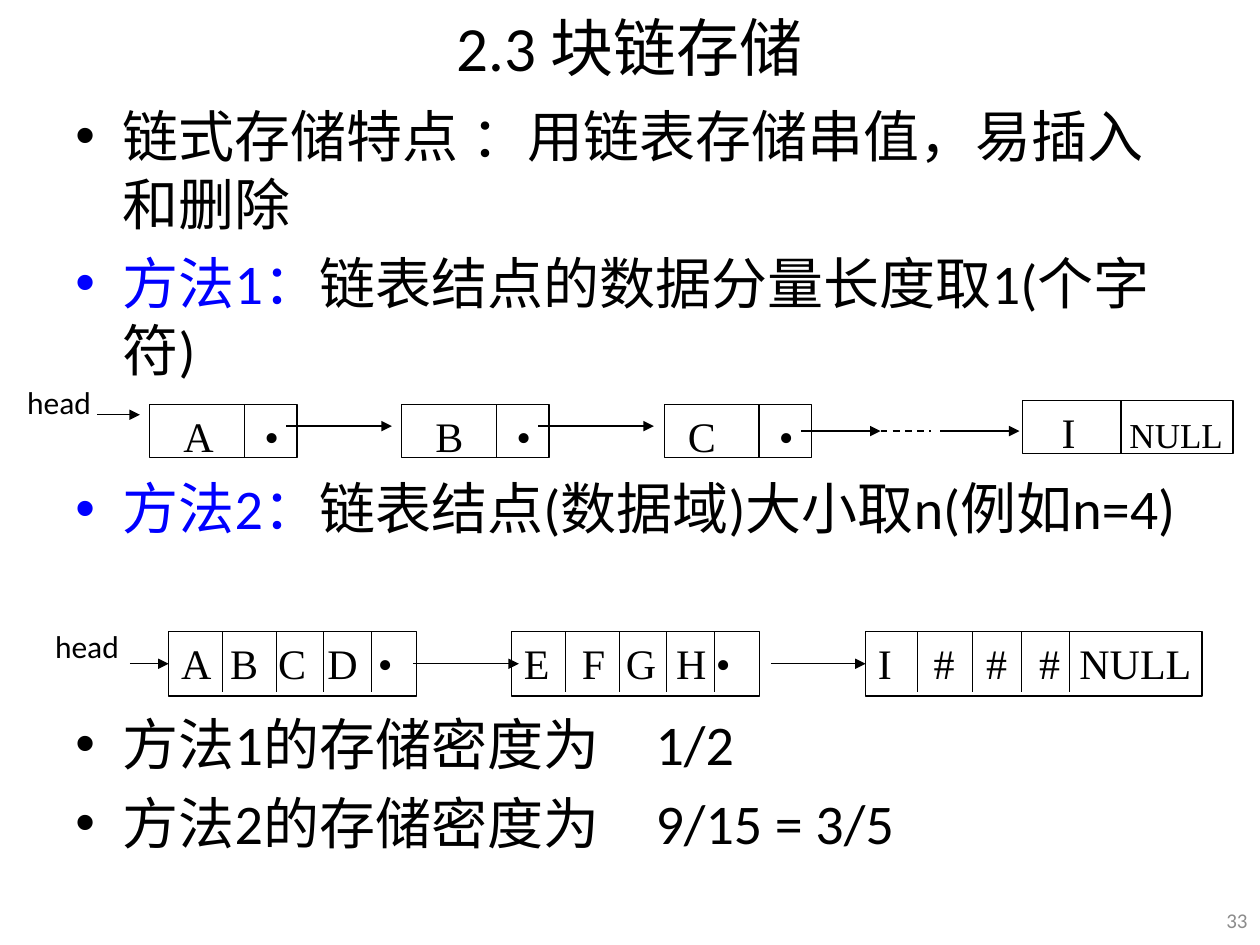
from dataclasses import dataclass
from typing import Optional

import pptx
import pptx.dml.color
import pptx.enum.dml
import pptx.enum.shapes
import pptx.enum.text
import pptx.oxml.ns
import pptx.util
from lxml import etree

Cm, Pt = pptx.util.Cm, pptx.util.Pt
Align = pptx.enum.text.PP_ALIGN
Anchor = pptx.enum.text.MSO_ANCHOR
qn = pptx.oxml.ns.qn


@dataclass(frozen=True)
class Theme:
    body_font: str = "Calibri"
    node_font: str = "Times New Roman"
    ink: str = "000000"
    accent: str = "0000FF"
    muted: str = "8C8C8C"
    title: float = 36
    body: float = 32
    node: float = 24
    null: float = 20
    label: float = 18
    number: float = 12
    line: float = 0.75


@dataclass(frozen=True)
class Bullet:
    text: str
    lead: str = ""
    before: float = 7


@dataclass(frozen=True)
class Node:
    left: float
    top: float
    width: float
    height: float
    dividers: tuple
    divider_height: float
    text: str
    tabs: tuple


@dataclass(frozen=True)
class Arrow:
    start: float
    end: float
    y: float
    target: Optional[int] = None  # index of the block node it points at


THEME = Theme()

# Lengths in centimetres, spacing in points
BULLETS = (
    Bullet("链式存储特点 ：用链表存储串值，易插入和删除", before=0),
    Bullet("链表结点的数据分量长度取1(个字符)", "方法1："),
    Bullet("链表结点(数据域)大小取n(例如n=4)", "方法2：", before=52),
    Bullet("方法1的存储密度为\u30001/2".replace("\u3000", "　"), before=96),
    Bullet("方法2的存储密度为　9/15 = 3/5"),
)

SINGLE_TOP, LAST_TOP = 8.15, 8.08
SINGLE_NODES = tuple(
    Node(left, SINGLE_TOP, 2.97, 1.07, (1.91,), 1.07, f"\t{letter}\t•", (tab, 2.06))
    for left, letter, tab in ((3.02, "A", 0.43), (8.1, "B", 0.43), (13.39, "C", 0.23))
) + (Node(20.62, LAST_TOP, 4.24, 1.07, (1.98,), 1.07, "\tI\tNULL", (0.53, 1.9)),)

BLOCK_TOP, BLOCK_HEIGHT = 12.73, 1.3
BLOCK_MIDDLE = BLOCK_TOP + BLOCK_HEIGHT / 2
BLOCK_NODES = tuple(
    Node(left, BLOCK_TOP, width, BLOCK_HEIGHT, dividers, 1.22, text, tabs)
    for left, width, dividers, text, tabs in (
        (3.4, 5, (1.09, 2.18, 3.12, 4.09), "A\tB\tC\tD\t•", (0.99, 1.96, 2.95, 3.97)),
        (10.31, 5, (1.09, 2.18, 3.12, 4.09), "E\tF\tG\tH\t•", (1.17, 2.06, 3.07, 3.87)),
        (17.45, 6.78, (1.04, 2.16, 3.15, 4.11), "I\t#\t#\t#\tNULL", (1.12, 2.18, 3.25, 4.06)),
    )
)

SINGLE_ARROWS = (
    Arrow(1.96, 2.82, 8.36),
    Arrow(5.77, 7.9, 8.59),
    Arrow(10.85, 13.18, 8.59),
    Arrow(16.15, 17.75, 8.69),
    Arrow(18.95, 20.55, 8.69),
)
BLOCK_ARROWS = (
    Arrow(2.62, 3.4, BLOCK_MIDDLE, target=0),
    Arrow(8.33, 10.46, BLOCK_MIDDLE),
    Arrow(15.54, 17.45, BLOCK_MIDDLE, target=2),
)


def color(value: str):
    return pptx.dml.color.RGBColor.from_string(value)


def style(paragraph, size: float, font: str = THEME.body_font, ink: str = THEME.ink) -> None:
    paragraph.font.size = Pt(size)
    paragraph.font.name = font
    paragraph.font.color.rgb = color(ink)


def add_text(slide, text: str, box: tuple, size: float, align=Align.LEFT,
             anchor=Anchor.TOP, ink: str = THEME.ink):
    shape = slide.shapes.add_textbox(*map(Cm, box))
    frame = shape.text_frame
    frame.word_wrap = True
    frame.vertical_anchor = anchor
    paragraph = frame.paragraphs[0]
    paragraph.text = text
    paragraph.alignment = align
    style(paragraph, size, ink=ink)


def add_bullets(slide, bullets: tuple, box: tuple) -> None:
    frame = slide.shapes.add_textbox(*map(Cm, box)).text_frame
    frame.word_wrap = True
    for index, bullet in enumerate(bullets):
        paragraph = frame.paragraphs[0] if index == 0 else frame.add_paragraph()
        paragraph.space_before = Pt(bullet.before)
        properties = paragraph._p.get_or_add_pPr()
        properties.set("marL", str(Cm(0.95)))
        properties.set("indent", str(Cm(-0.95)))
        bullet_color = etree.SubElement(properties, qn("a:buClr"))
        etree.SubElement(bullet_color, qn("a:srgbClr"),
                         val=THEME.accent if bullet.lead else THEME.ink)
        etree.SubElement(properties, qn("a:buFont"), typeface="Arial")
        etree.SubElement(properties, qn("a:buChar"), char="•")
        style(paragraph, THEME.body)
        if bullet.lead:
            run = paragraph.add_run()
            run.text = bullet.lead
            run.font.color.rgb = color(THEME.accent)
        paragraph.add_run().text = bullet.text


def add_line(slide, start: tuple, end: tuple, width: float = THEME.line, arrow: bool = False):
    connector = slide.shapes.add_connector(
        pptx.enum.shapes.MSO_CONNECTOR.STRAIGHT, *map(Cm, start + end))
    connector.line.color.rgb = color(THEME.ink)
    connector.line.width = Pt(width)
    if arrow:
        etree.SubElement(connector.line._get_or_add_ln(), qn("a:tailEnd"), type="triangle")
    etree.SubElement(connector._element.spPr, qn("a:effectLst"))
    return connector


def add_node(slide, node: Node):
    shape = slide.shapes.add_shape(
        pptx.enum.shapes.MSO_SHAPE.RECTANGLE,
        *map(Cm, (node.left, node.top, node.width, node.height)))
    shape.shadow.inherit = False
    shape.fill.background()
    shape.line.color.rgb = color(THEME.ink)
    shape.line.width = Pt(THEME.line)

    # Letters stand at tab stops, one for each cell
    frame = shape.text_frame
    frame.word_wrap = True
    frame.vertical_anchor = Anchor.TOP
    frame.margin_right = 0
    paragraph = frame.paragraphs[0]
    paragraph.alignment = Align.LEFT
    tab_list = etree.SubElement(paragraph._p.get_or_add_pPr(), qn("a:tabLst"))
    for tab in node.tabs:
        etree.SubElement(tab_list, qn("a:tab"), pos=str(Cm(tab)), algn="l")
    style(paragraph, THEME.node, THEME.node_font)
    if len(node.dividers) == 1 and node.text.endswith("NULL"):
        paragraph.add_run().text = node.text.removesuffix("NULL")
        run = paragraph.add_run()
        run.text = "NULL"
        run.font.size = Pt(THEME.null)
    else:
        paragraph.add_run().text = node.text

    for offset in node.dividers:
        x = node.left + offset
        add_line(slide, (x, node.top), (x, node.top + node.divider_height))
    return shape


def add_chain(slide, nodes: tuple, arrows: tuple, head: tuple) -> None:
    add_text(slide, "head", head + (2.39, 1.02), THEME.label)
    shapes = [add_node(slide, node) for node in nodes]
    for arrow in arrows:
        connector = add_line(slide, (arrow.start, arrow.y), (arrow.end, arrow.y), arrow=True)
        if arrow.target is not None:
            connector.end_connect(shapes[arrow.target], 1)


def main() -> None:
    presentation = pptx.Presentation()
    presentation.slide_width, presentation.slide_height = Cm(25.4), Cm(19.05)
    slide = presentation.slides.add_slide(presentation.slide_layouts[6])

    # Title, bullets and slide number
    add_text(slide, "2.3 块链存储", (1.27, -0.08, 22.86, 2.01), THEME.title,
             Align.CENTER, Anchor.MIDDLE)
    add_bullets(slide, BULLETS, (1.27, 1.93, 22.86, 17.12))
    add_text(slide, "33", (24.31, 18.03, 1.09, 1.02), THEME.number,
             Align.RIGHT, Anchor.MIDDLE, THEME.muted)

    # Method 1: one character in each node, with a dashed gap before the last
    add_chain(slide, SINGLE_NODES, SINGLE_ARROWS, (0.3, 7.59))
    gap = add_line(slide, (17.75, 8.69), (18.77, 8.69), width=1)
    gap.line.dash_style = pptx.enum.dml.MSO_LINE.DASH

    # Method 2: four characters in each node
    add_chain(slide, BLOCK_NODES, BLOCK_ARROWS, (0.86, 12.52))

    presentation.save("out.pptx")


if __name__ == "__main__":
    main()
